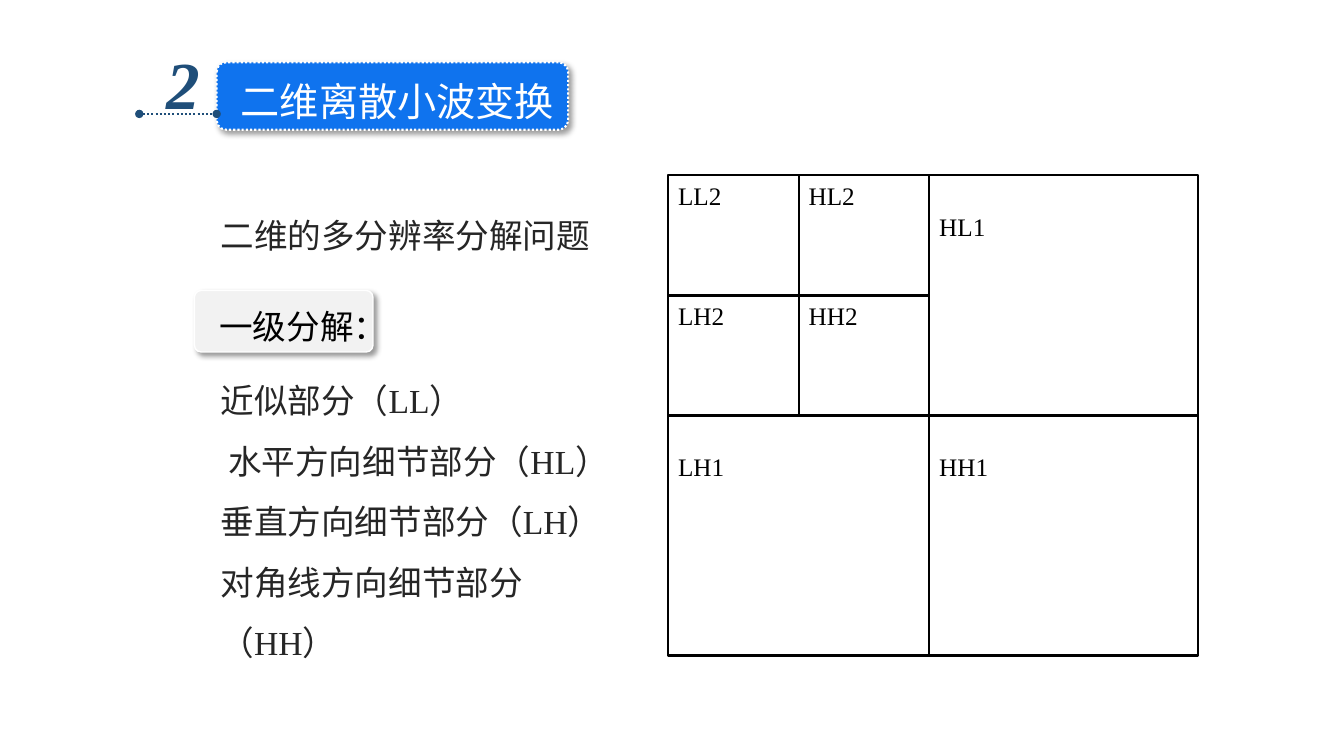
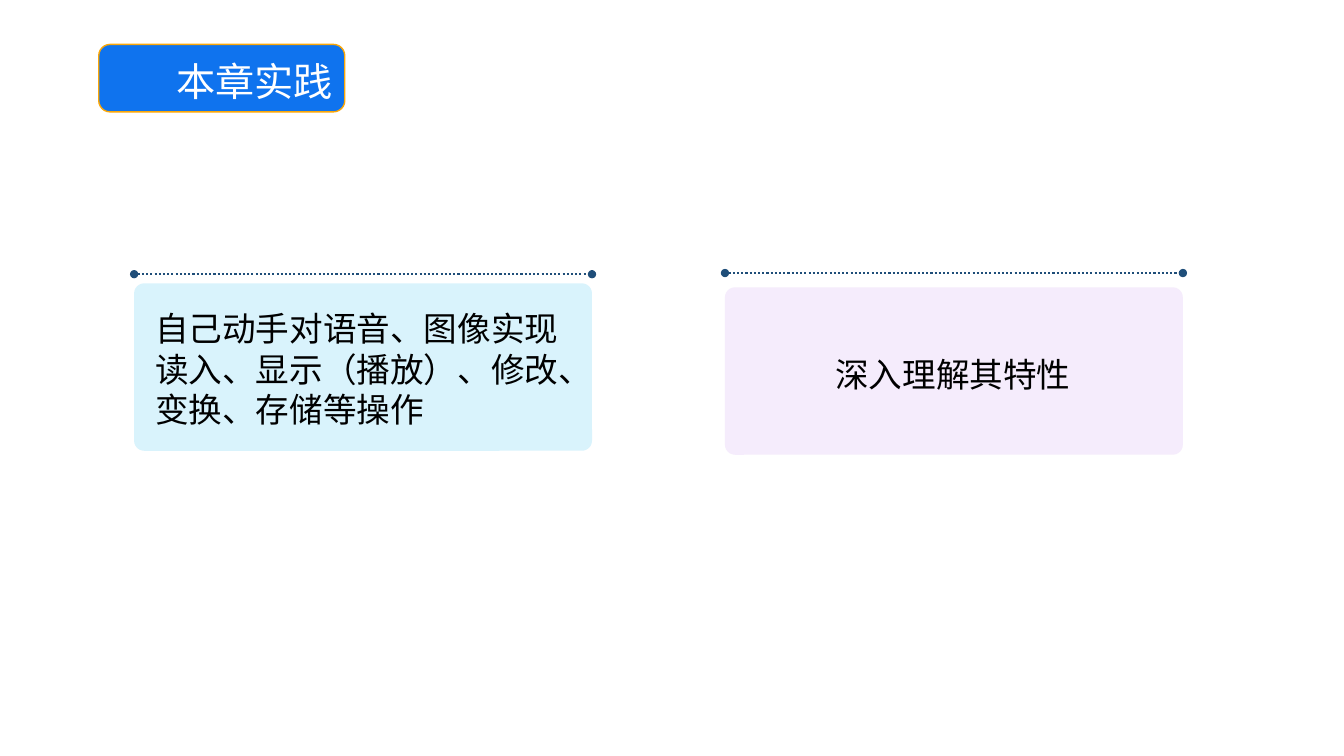
from dataclasses import dataclass

from lxml.etree import SubElement
from pptx import Presentation
from pptx.dml.color import RGBColor
from pptx.enum.dml import MSO_LINE as Dash
from pptx.enum.shapes import MSO_CONNECTOR as Connector, MSO_SHAPE as Shape
from pptx.enum.text import MSO_ANCHOR as Anchor, PP_ALIGN as Align
from pptx.oxml.ns import qn
from pptx.util import Cm, Pt


@dataclass(frozen=True)
class Theme:
    """Colours, fonts and type sizes of the deck."""

    blue: str = "0F73EE"
    navy: str = "1F4E79"
    amber: str = "FBA707"
    sky: str = "00B0F0"
    lilac: str = "E3C9F7"
    grey: str = "F2F2F2"
    ink: str = "262626"
    black: str = "000000"
    white: str = "FFFFFF"
    sans: str = "Noto Sans CJK SC"
    serif: str = "Times New Roman"
    numeral: int = 48
    title: int = 28
    body: int = 24
    label: int = 18
    leading: float = 1.2


THEME = Theme()


def lengths(box):
    """Turn a box in centimetres into lengths."""
    return [Cm(value) for value in box]


def add_child(parent, tag, **values):
    """Append a drawing element with the given attributes."""
    return SubElement(parent, qn(f"a:{tag}"), values)


def style_line(line, colour, width, dash=None):
    """Set the colour, width and dash of a line."""
    line.color.rgb = RGBColor.from_string(colour)
    for name, value in {"width": Pt(width), "dash_style": dash}.items():
        setattr(line, name, value)


def add_panel(page, box, fill, kind=Shape.ROUNDED_RECTANGLE, corner=None,
              opacity=None, shadow=False, line=None):
    """Draw a filled shape with an optional outline and shadow."""
    panel = page.shapes.add_shape(kind, *lengths(box))
    panel.shadow.inherit = False
    panel.fill.solid()
    panel.fill.fore_color.rgb = RGBColor.from_string(fill)
    if corner is not None:
        panel.adjustments[0] = corner
    if line:
        style_line(panel.line, *line)
    else:
        panel.line.fill.background()
    properties = panel.element.spPr
    if opacity is not None:
        colour = properties.find(qn("a:solidFill")).find(qn("a:srgbClr"))
        add_child(colour, "alpha", val=str(opacity * 1000))
    if shadow:
        outer = add_child(properties.find(qn("a:effectLst")), "outerShdw",
                          blurRad=str(Pt(4)), dist=str(Pt(3)), dir="2700000",
                          algn="tl", rotWithShape="0")
        colour = add_child(outer, "srgbClr", val=THEME.black)
        add_child(colour, "alpha", val="40000")
    return panel


def add_span(para, words, size, colour, face, **marks):
    """Add a run in the given type."""
    span = para.add_run()
    span.text = words
    formats = {"size": Pt(size), "name": face, **marks}
    for name, value in formats.items():
        setattr(span.font, name, value)
    span.font.color.rgb = RGBColor.from_string(colour)
    add_child(span.font._element, "ea", typeface=THEME.sans)


def add_text(page, box, paragraphs, size, colour, wrap=False, leading=THEME.leading, **marks):
    """Write paragraphs of words and faces in a text box."""
    frame = page.shapes.add_textbox(*lengths(box)).text_frame
    frame.word_wrap = wrap
    for index, spans in enumerate(paragraphs):
        para = frame.add_paragraph() if index else frame.paragraphs[0]
        if leading:
            para.line_spacing = Pt(size * leading)
        for words, face in spans:
            add_span(para, words, size, colour, face, **marks)


def add_dotted_rule(page, left, top, width):
    """Draw a dotted rule with a round dot at both ends."""
    rule = page.shapes.add_connector(Connector.STRAIGHT, *lengths((left, top, left + width, top)))
    style_line(rule.line, THEME.navy, 1.5, Dash.ROUND_DOT)
    for tag in ("headEnd", "tailEnd"):
        add_child(rule.line._ln, tag, type="oval")
    add_child(rule.element.spPr, "effectLst")


def add_numbered_title(page, box, number, words):
    """Draw a title band with its number to the left."""
    left, top, width, height = box
    add_panel(page, box, THEME.blue, corner=0.14, shadow=True,
              line=(THEME.white, 1.5, Dash.ROUND_DOT))
    add_text(page, (left + 0.36, top + 0.25, width - 0.38, 1.45), [[(words, THEME.sans)]],
             THEME.title, THEME.white)
    add_text(page, (left - 1.52, top - 0.64, 1.37, 2.31), [[(number, THEME.serif)]],
             THEME.numeral, THEME.navy, leading=None, bold=True, italic=True)
    add_dotted_rule(page, left - 1.95, top + 1.3, 1.95)


def add_plain_title(page, box, words):
    """Draw a title band without a number."""
    left, top, width, height = box
    add_panel(page, box, THEME.blue, line=(THEME.amber, 1))
    add_text(page, (left + 1.7, top + 0.2, width - 1.7, 1.35), [[(words, THEME.sans)]],
             THEME.title, THEME.white)


def add_tag(page, box, words):
    """Draw a raised grey tag."""
    left, top, width, height = box
    add_panel(page, box, THEME.grey, corner=0.11, shadow=True, line=(THEME.white, 1))
    add_text(page, (left + 0.38, top + 0.27, width - 0.38, 1.27), [[(words, THEME.sans)]],
             THEME.body, THEME.black, wrap=True)


def add_band(page, box, words, inset):
    """Draw one labelled square of the decomposition."""
    band = add_panel(page, box, THEME.white, kind=Shape.RECTANGLE, line=(THEME.black, 1.5))
    frame = band.text_frame
    for name, value in {"vertical_anchor": Anchor.TOP, "margin_top": Cm(inset)}.items():
        setattr(frame, name, value)
    para = frame.paragraphs[0]
    para.alignment = Align.JUSTIFY
    add_span(para, words, THEME.label, THEME.black, THEME.serif)


def add_decomposition(page, box, split):
    """Draw the two-level wavelet decomposition."""
    left, top, width, height = box
    half = height / 2
    for name, column, row in (("HL1", 1, 0), ("LH1", 0, 1), ("HH1", 1, 1)):
        size = width - split if column else split
        add_band(page, (left + column * split, top + row * half, size, half), name, 0.9)
    for index, name in enumerate(("LL2", "HL2", "LH2", "HH2")):
        row, column = divmod(index, 2)
        cell = (left + column * split / 2, top + row * half / 2, split / 2, half / 2)
        add_band(page, cell, name, 0.13)


def add_card(page, box, rule_gap, fill, opacity, words, face, text_box):
    """Draw a tinted card below a dotted rule, with text placed from its corner."""
    left, top, width, height = box
    add_dotted_rule(page, left, top - rule_gap, width)
    add_panel(page, box, fill, corner=0.06, opacity=opacity)
    across, down, text_width, text_height, wrap = text_box
    add_text(page, (left + across, top + down, text_width, text_height), [[(words, face)]],
             THEME.body, THEME.black, wrap=wrap)


def build_transform_page(page):
    """Build the page on the two-dimensional transform."""
    add_numbered_title(page, (5.46, 1.57, 8.86, 1.7), "2", "二维离散小波变换")
    add_text(page, (5.31, 5.3, 9.9, 1.27), [[("二维的多分辨率分解问题", THEME.sans)]],
             THEME.body, THEME.ink)
    add_tag(page, (4.9, 7.32, 4.5, 1.55), "一级分解：")
    parts = (("近似部分", "（LL）"), (" 水平方向细节部分", "（HL）"),
             ("垂直方向细节部分", "（LH）"), ("对角线方向细节部分", "（HH）"))
    add_text(page, (5.31, 8.95, 11, 6.4),
             [[(name, THEME.sans), (code, THEME.serif)] for name, code in parts],
             THEME.body, THEME.ink, wrap=True, leading=1.8)
    add_decomposition(page, (16.84, 4.42, 13.36, 12.1), 6.58)


def build_practice_page(page):
    """Build the page on the chapter's practice."""
    add_card(page, (3.38, 7.14, 11.54, 4.22), 0.23, THEME.sky, 15,
             "自己动手对语音、图像实现读入、显示（播放）、修改、变换、存储等操作",
             THEME.serif, (0.28, 0.5, 10.7, 3.33, True))
    add_card(page, (18.27, 7.24, 11.54, 4.22), 0.36, THEME.lilac, 34,
             "深入理解其特性", THEME.sans, (2.53, 1.56, 6.5, 1.4, False))
    add_plain_title(page, (2.49, 1.12, 6.2, 1.7), "本章实践")


def main():
    """Build and save the deck."""
    deck = Presentation()
    for name, value in {"slide_width": Cm(33.87), "slide_height": Cm(19.05)}.items():
        setattr(deck, name, value)
    for build in (build_transform_page, build_practice_page):
        build(deck.slides.add_slide(deck.slide_layouts[6]))
    deck.save("out.pptx")


if __name__ == "__main__":
    main()
